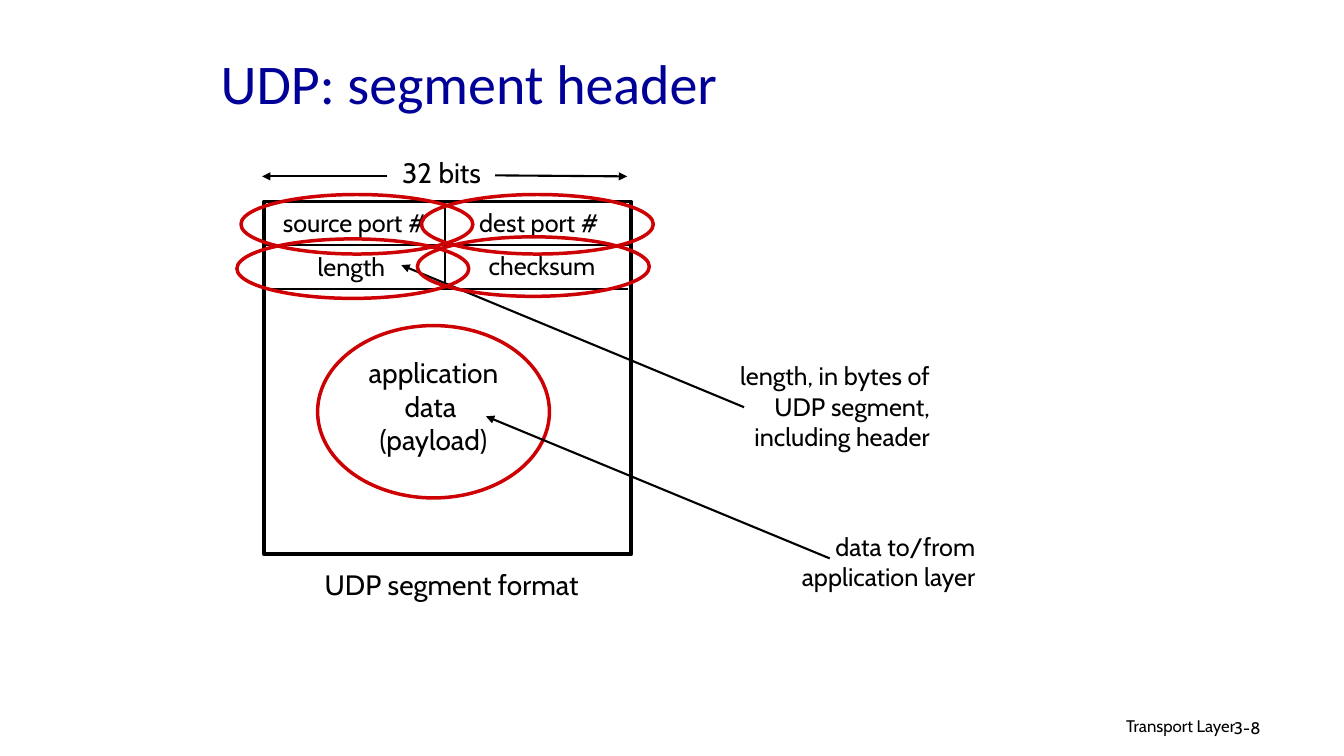
from typing import NamedTuple

from lxml import etree
from pptx import Presentation
from pptx import util as u
from pptx.dml.color import RGBColor
from pptx.enum import shapes, text
from pptx.oxml.ns import qn

# Grid: ten columns and ten rows to the inch
COLS, ROWS = 133.3, 75
SLIDE_W, SLIDE_H = u.Inches(13.33), u.Inches(7.5)
BLACK, WHITE, RED, NAVY = "000000", "FFFFFF", "CD0004", "000099"
LEFT, CENTER, RIGHT = text.PP_ALIGN.LEFT, text.PP_ALIGN.CENTER, text.PP_ALIGN.RIGHT


class Box(NamedTuple):
    col: float
    row: float
    cols: float
    rows: float


class Label(NamedTuple):
    words: str
    box: Box
    size: int = 18
    align: text.PP_ALIGN = CENTER
    wrap: bool = False


class Line(NamedTuple):
    col1: float
    row1: float
    col2: float
    row2: float
    arrow: bool = False


def x(cols: float) -> int:
    return round(SLIDE_W * cols / COLS)


def y(rows: float) -> int:
    return round(SLIDE_H * rows / ROWS)


def place(box: Box) -> tuple:
    return x(box.col), y(box.row), x(box.cols), y(box.rows)


def color(value: str) -> RGBColor:
    return RGBColor.from_string(value)


def add_text(slide, words: str, box: Box, *, size: float = 18, align=LEFT, wrap: bool = True,
             font: str = "Cabin", ink: str = BLACK, anchor=text.MSO_ANCHOR.TOP):
    tf = slide.shapes.add_textbox(*place(box)).text_frame
    tf.word_wrap = wrap
    tf.vertical_anchor = anchor
    tf.text = words
    for p in tf.paragraphs:
        p.alignment = align
        for r in p.runs:
            r.font.name, r.font.size = font, u.Pt(size)
            r.font.color.rgb = color(ink)
    return tf


def add_outline(slide, kind, box: Box, ink: str, width: float, fill: str = "") -> None:
    sp = slide.shapes.add_shape(kind, *place(box))
    sp.shadow.inherit = False
    if fill:
        sp.fill.solid()
        sp.fill.fore_color.rgb = color(fill)
    else:
        sp.fill.background()
    sp.line.color.rgb = color(ink)
    sp.line.width = u.Pt(width)


def add_line(slide, line: Line) -> None:
    c = slide.shapes.add_connector(shapes.MSO_CONNECTOR.STRAIGHT, x(line.col1), y(line.row1),
                                   x(line.col2), y(line.row2))
    c.line.color.rgb = color(BLACK)
    c.line.width = u.Pt(1.5)
    if line.arrow:
        etree.SubElement(c.line._get_or_add_ln(), qn("a:tailEnd"), type="triangle")
    etree.SubElement(c._element.spPr, qn("a:effectLst"))


SEGMENT = Box(26.2, 20, 36.4, 35)
MIDDLE = 44.1

LABELS = [
    Label("source port #", Box(26.6, 20.1, 17.1, 4)),
    Label("dest port #", Box(46.2, 20.1, 14.5, 4)),
    Label("length", Box(30.4, 24.4, 8.9, 4)),
    Label("checksum", Box(47.3, 24.3, 12.9, 4)),
    Label("32 bits", Box(38.7, 14.9, 10.2, 4.3), 20),
    Label("application\ndata \n(payload)", Box(35.4, 34.8, 15.2, 11), 20),
    Label("UDP segment format", Box(31, 55.8, 27.6, 4.3), 20),
    Label("length, in bytes of UDP segment, including header", Box(67.5, 35.3, 25.7, 10),
          align=RIGHT, wrap=True),
    Label("data to/from application layer", Box(71.4, 52.2, 26.3, 7.1),
          align=RIGHT, wrap=True),
]
LINES = [
    # Field borders
    Line(26.1, 24.3, 62.5, 24.3),
    Line(26, 28.7, 62.3, 28.7),
    Line(MIDDLE, 28.8, MIDDLE, 20),
    # Width of the header, then the note on length
    Line(49.1, 17.4, 62.2, 17.5, True),
    Line(38.4, 17.5, 26, 17.5, True),
    Line(73.8, 40.4, 39.8, 26.3, True),
]
PAYLOAD_ARROW = Line(82.3, 55.4, 48.2, 41.3, True)
RINGS = [Box(col, row, 23, 5.9) for col, row in
         [(23.9, 19.3), (41.8, 19.3), (23.5, 23.7), (41.4, 23.5)]]
RINGS.append(Box(31.5, 32.3, 23, 17.1))


def main() -> None:
    prs = Presentation()
    prs.slide_width, prs.slide_height = SLIDE_W, SLIDE_H
    s = prs.slides.add_slide(prs.slide_layouts[6])

    # Title and footer
    add_text(s, "UDP: segment header", Box(20.9, 2.7, 91.2, 10.9), size=40, font="Calibri",
             ink=NAVY, anchor=text.MSO_ANCHOR.MIDDLE)
    add_text(s, "Transport Layer", Box(81.3, 70.5, 42.2, 3.1), size=12, align=RIGHT)
    add_text(s, "3-8", Box(121.4, 70.7, 9.9, 3), size=12)

    # Segment with its fields and notes
    add_outline(s, shapes.MSO_SHAPE.RECTANGLE, SEGMENT, BLACK, 2.75, WHITE)
    for label in LABELS:
        add_text(s, label.words, label.box, size=label.size, align=label.align, wrap=label.wrap)
    for line in LINES:
        add_line(s, line)

    # Red rings, crossed by the payload arrow
    for ring in RINGS:
        add_outline(s, shapes.MSO_SHAPE.OVAL, ring, RED, 2.5)
    add_line(s, PAYLOAD_ARROW)

    prs.save("out.pptx")


if __name__ == "__main__":
    main()
